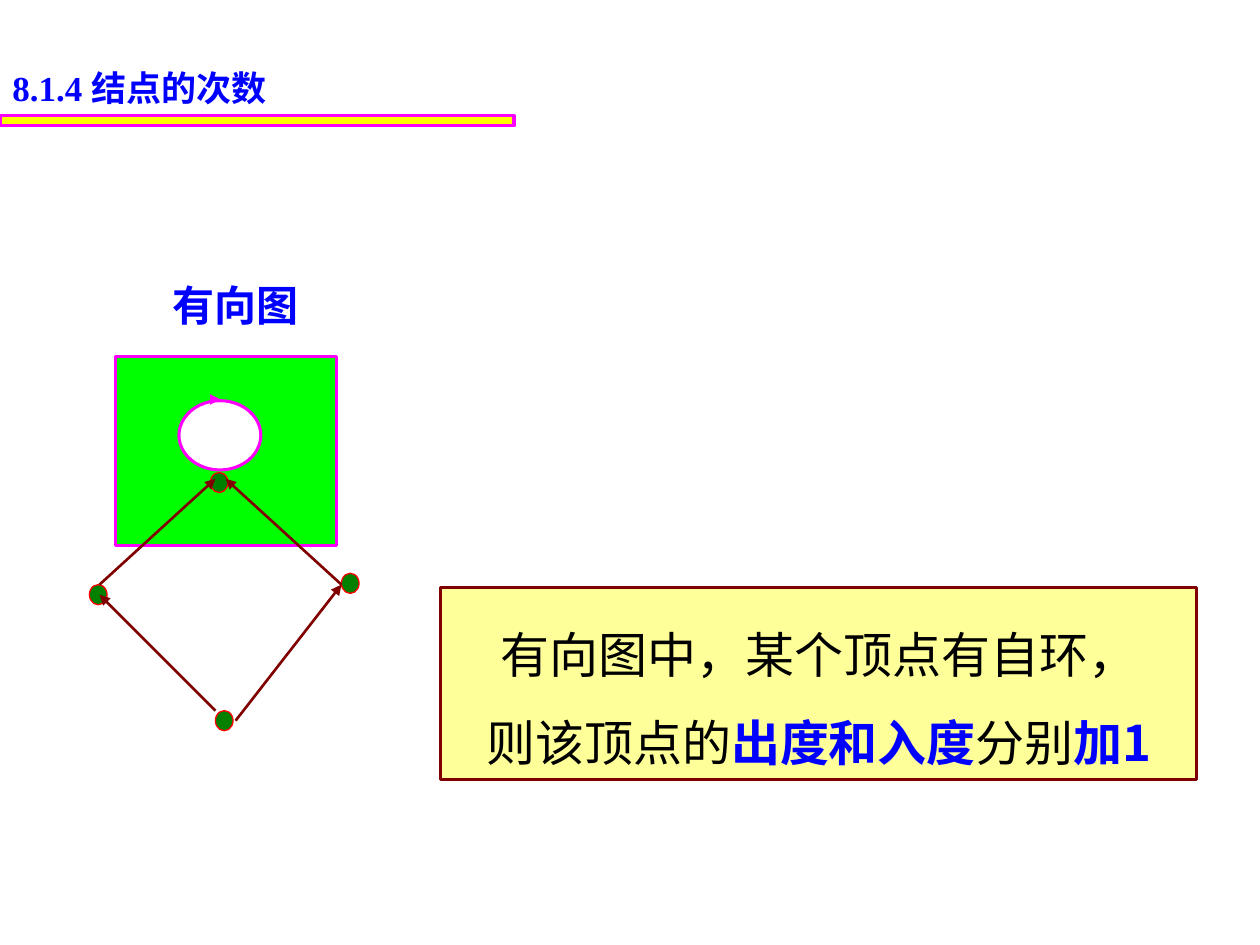
import pptx
import pptx.dml.color
import pptx.enum.shapes
import pptx.enum.text
import pptx.oxml
import pptx.oxml.ns
import pptx.util

SHAPE = pptx.enum.shapes.MSO_SHAPE
ALIGN = pptx.enum.text.PP_ALIGN
BLUE, BLACK, MAGENTA, MAROON = "0000FF", "000000", "FF00FF", "800000"

# Content: paragraphs are lists of (text, font, colour, bold)
HEADING = [[("8.1.4 ", "Times New Roman", BLUE, True), ("结点的次数", "Arial", BLUE, True)]]
GRAPH_TITLE = [[("有向图", "Arial", BLUE, True)]]
CJK = "Noto Sans CJK JP"
RULE = [
    [("有向图中，某个顶点有自环，", CJK, BLACK, False)],
    [("则该顶点的", CJK, BLACK, False), ("出度和入度", CJK, BLUE, True),
     ("分别", CJK, BLACK, False), ("加1", CJK, BLUE, True)],
]

# Graph: node corners, and edges as (start, end)
NODE_SIZE = (0.14, 0.16)
NODES = {"right": (2.71, 4.55), "left": (0.71, 4.64), "top": (1.67, 3.75), "bottom": (1.71, 5.64)}
EDGES = [
    ((0.79, 4.64), (1.71, 3.8)),
    ((2.71, 4.64), (1.79, 3.8)),
    ((1.71, 5.64), (0.79, 4.72)),
    ((1.87, 5.72), (2.71, 4.64)),
]
LOOP_ARROW = ((1.67, 3.17), (1.75, 3.17))

deck = pptx.Presentation()
deck.slide_width, deck.slide_height = pptx.util.Inches(10), pptx.util.Inches(7.5)
slide = deck.slides.add_slide(deck.slide_layouts[6])


def inches(*lengths):
    return [pptx.util.Inches(length) for length in lengths]


def rgb(colour):
    return pptx.dml.color.RGBColor.from_string(colour)


def add_figure(preset, box, fill, outline, width=1.75):
    figure = slide.shapes.add_shape(preset, *inches(*box))
    figure.shadow.inherit = False
    figure.fill.solid()
    figure.fill.fore_color.rgb = rgb(fill)
    figure.line.color.rgb = rgb(outline)
    figure.line.width = pptx.util.Pt(width)
    return figure


def add_arrow(start, end, colour, width):
    arrow = slide.shapes.add_connector(
        pptx.enum.shapes.MSO_CONNECTOR.STRAIGHT, *inches(*start, *end))
    arrow.line.color.rgb = rgb(colour)
    arrow.line.width = pptx.util.Pt(width)
    head = pptx.oxml.parse_xml(f'<a:tailEnd {pptx.oxml.ns.nsdecls("a")} type="triangle"/>')
    arrow.line._get_or_add_ln().append(head)
    no_shadow = pptx.oxml.parse_xml(f'<a:effectLst {pptx.oxml.ns.nsdecls("a")}/>')
    arrow._element.spPr.append(no_shadow)


def write(holder, paragraphs, size, align, spacing=None):
    frame = holder.text_frame
    frame.word_wrap = True
    frame.auto_size = pptx.enum.text.MSO_AUTO_SIZE.SHAPE_TO_FIT_TEXT
    for index, runs in enumerate(paragraphs):
        paragraph = frame.add_paragraph() if index else frame.paragraphs[0]
        paragraph.alignment = align
        paragraph.line_spacing = spacing
        paragraph.font.size = pptx.util.Pt(size)
        for text, font, colour, bold in runs:
            run = paragraph.add_run()
            run.text = text
            run.font.name, run.font.bold = font, bold
            run.font.color.rgb = rgb(colour)


# Panel behind the top node, and rule under the heading
add_figure(SHAPE.RECTANGLE, (0.92, 2.83, 1.75, 1.5), "00FF00", MAGENTA)
add_figure(SHAPE.RECTANGLE, (0, 0.92, 4.08, 0.08), "FFFF00", MAGENTA)

# Directed graph
for corner in NODES.values():
    add_figure(SHAPE.OVAL, corner + NODE_SIZE, "008000", "FF0000", 0.75)
for start, end in EDGES:
    add_arrow(start, end, MAROON, 1.5)
graph_title = slide.shapes.add_textbox(*inches(0.92, 2.17, 1.89, 0.5))
write(graph_title, GRAPH_TITLE, 24, ALIGN.CENTER)

# Self-loop on the top node
add_figure(SHAPE.OVAL, (1.42, 3.18, 0.65, 0.55), "FFFFFF", MAGENTA)
add_arrow(*LOOP_ARROW, MAGENTA, 1.75)

# Degree rule and heading
rule_box = add_figure(SHAPE.RECTANGLE, (3.5, 4.66, 6, 1.53), "FFFF99", MAROON)
write(rule_box, RULE, 28, ALIGN.CENTER, 1.5)
heading = slide.shapes.add_textbox(*inches(0, 0.48, 4.33, 0.43))
write(heading, HEADING, 20, ALIGN.LEFT)

deck.save("out.pptx")
